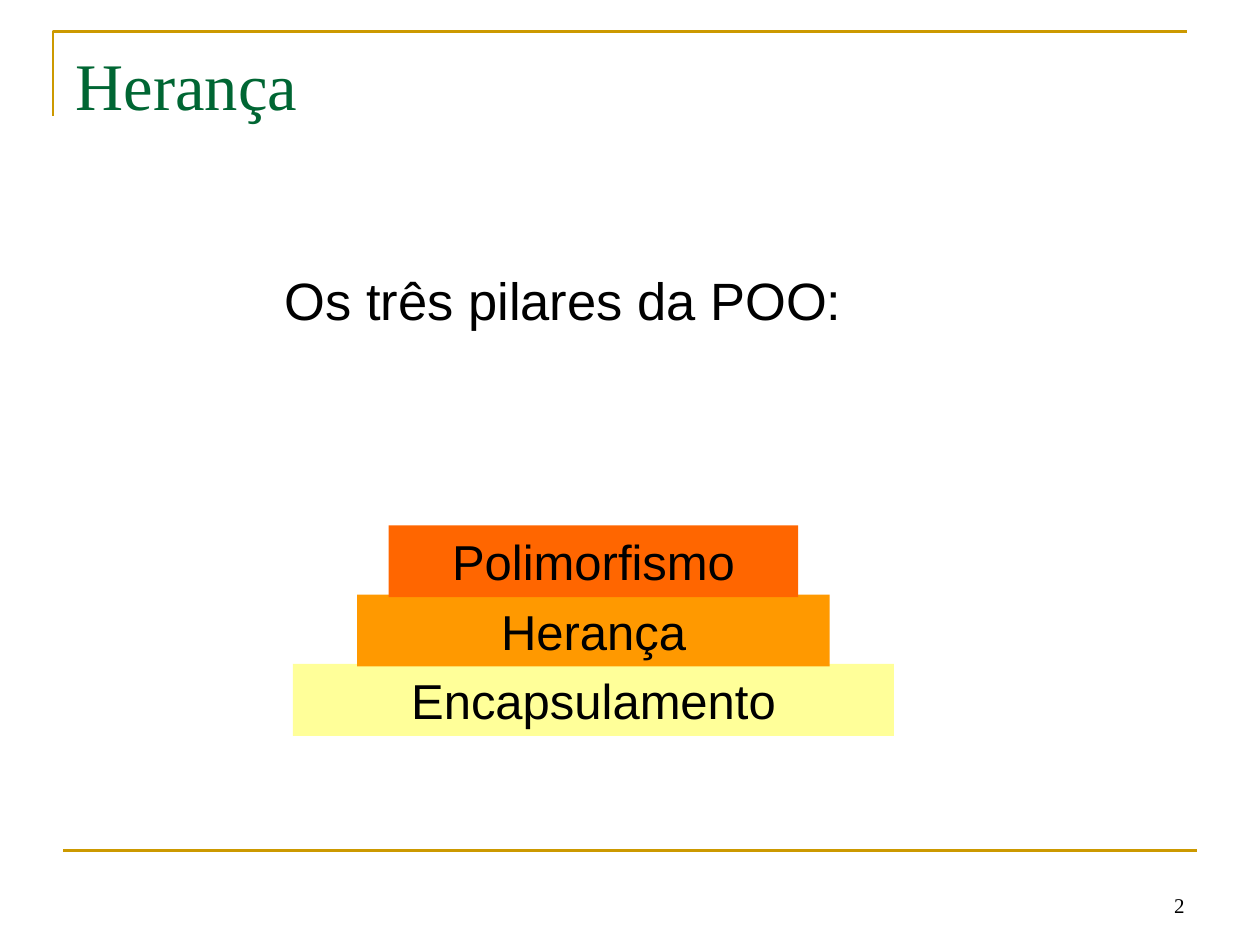
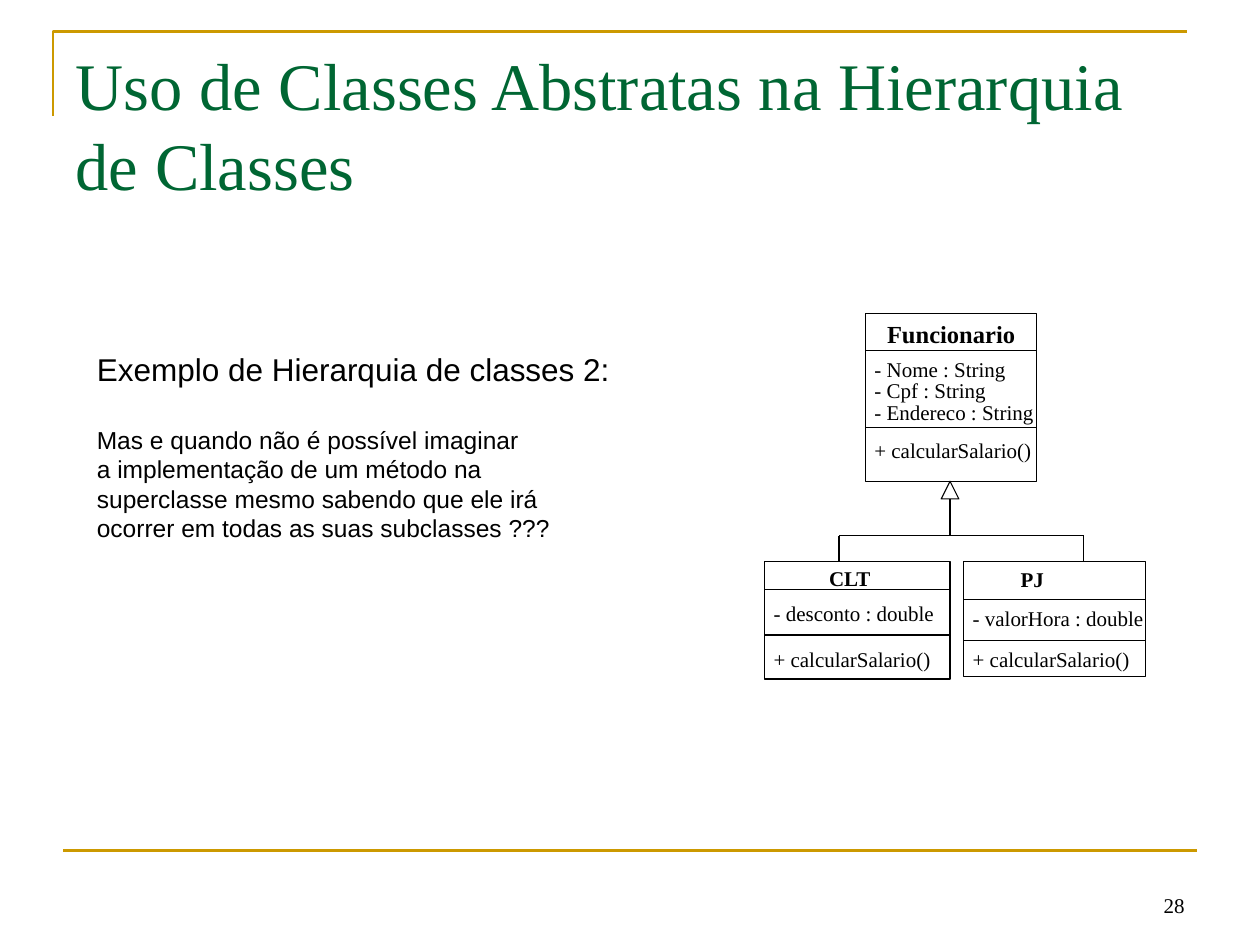
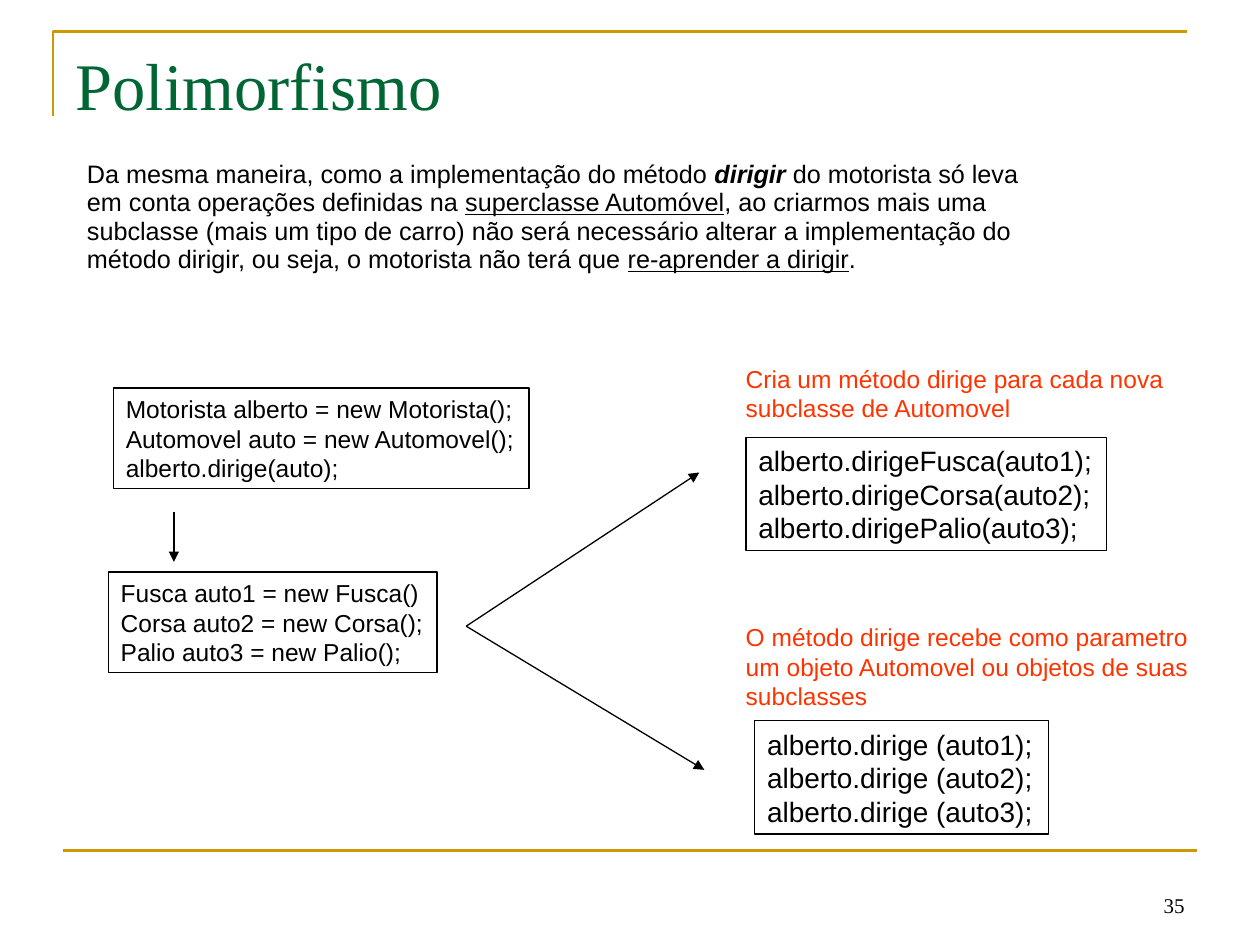
from dataclasses import dataclass
from pptx import Presentation
from pptx.dml.color import RGBColor
from pptx.enum.shapes import MSO_CONNECTOR as Connector, MSO_SHAPE as Preset
from pptx.enum.text import MSO_ANCHOR as Anchor, MSO_AUTO_SIZE as AutoSize, PP_ALIGN as Align
from pptx.oxml.ns import qn
from pptx.util import Inches, Pt
from lxml.etree import SubElement


@dataclass(frozen=True)
class Theme:
    serif: str = "Times New Roman"
    sans: str = "Arial"
    ink: str = "000000"
    paper: str = "FFFFFF"
    green: str = "006633"
    gold: str = "CC9900"
    red: str = "FF3300"
    title: float = 38
    lead: float = 30
    pillar: float = 28
    heading: float = 18
    large_code: float = 16
    text: float = 14
    body: float = 14.4
    small: float = 12
    frame_line: float = 1.5
    line: float = 0.75
    class_line: float = 0.62


THEME = Theme()
WIDTH, HEIGHT = 10, 7.5
INSETS = (0.1, 0.05)

PILLARS = [
    ("Encapsulamento", 4.77, "FFFF99"),
    ("Herança", 3.75, "FF9900"),
    ("Polimorfismo", 3.25, "FF6600"),
]
PILLAR_CENTER, PILLAR_BASE, PILLAR_STEP, PILLAR_HEIGHT = 4.71, 5.27, 0.55, 0.57

EXAMPLE_HEADING = "Exemplo de Hierarquia de classes 2:"
EXAMPLE_QUESTION = [
    "Mas e quando não é possível imaginar",
    "a implementação de um método na",
    "superclasse mesmo sabendo que ele irá",
    "ocorrer em todas as suas subclasses ???",
]

CLASSES = [
    dict(box=(6.87, 2.49, 1.36, 1.33), dividers=(0.29, 0.9),
         name=("Funcionario", 0.17, 0.04, 1.02, THEME.text),
         members=[("- Nome : String", 0.34, 1.04), ("- Cpf : String", 0.51, 0.89),
                  ("- Endereco : String", 0.68, 1.26), ("+ calcularSalario()", 0.98, 1.25)]),
    dict(box=(6.07, 4.46, 1.47, 0.93), dividers=(0.22, 0.58),
         name=("CLT", 0.51, 0.03, 0.34, THEME.small),
         members=[("- desconto : double", 0.31, 1.27), ("+ calcularSalario()", 0.67, 1.25)]),
    dict(box=(7.65, 4.46, 1.44, 0.91), dividers=(0.3, 0.62),
         name=("PJ", 0.45, 0.04, 0.19, THEME.small),
         members=[("- valorHora : double", 0.35, 1.36), ("+ calcularSalario()", 0.67, 1.25)]),
]
MEMBER_INDENT, LABEL_SLACK = 0.07, 0.05
PARENT_X, PARENT_BOTTOM, ARROW, BRANCH_Y, CHILD_TOP = 7.54, 3.82, 0.14, 4.25, 4.46
CHILDREN_X = (6.66, 8.6)

DRIVING = [
    [("Da mesma maneira, como a implementação do método ", ""), ("dirigir", "bi"),
     (" do motorista só leva", "")],
    [("em conta operações definidas na ", ""), ("superclasse Automóvel", "u"),
     (", ao criarmos mais uma", "")],
    [("subclasse (mais um tipo de carro) não será necessário alterar a implementação do", "")],
    [("método dirigir, ou seja, o motorista não terá que ", ""),
     ("re-aprender a dirigir", "u"), (".", "")],
]
CODE = [
    ((0.9, 3.08, 3.3, 0.8), THEME.text,
     ["Motorista alberto = new Motorista();", "Automovel auto = new Automovel();",
      "alberto.dirige(auto);"]),
    ((0.86, 4.54, 2.61, 0.8), THEME.text,
     ["Fusca auto1 = new Fusca()", "Corsa auto2 = new Corsa();", "Palio auto3 = new Palio();"]),
    ((5.92, 3.47, 2.86, 0.9), THEME.large_code,
     ["alberto.dirigeFusca(auto1);", "alberto.dirigeCorsa(auto2);",
      "alberto.dirigePalio(auto3);"]),
    ((5.99, 5.72, 2.33, 0.9), THEME.large_code,
     ["alberto.dirige (auto1);", "alberto.dirige (auto2);", "alberto.dirige (auto3);"]),
]
REMARKS = [
    ((5.82, 2.84, 3.59, 0.57),
     ["Cria um método dirige para cada nova", "subclasse de Automovel"]),
    ((5.82, 4.89, 3.79, 0.8),
     ["O método dirige recebe como parametro", "um objeto Automovel ou objetos de suas",
      "subclasses"]),
]
FORK = (3.7, 4.97)
ARROWS = [((1.38, 4.06), (1.38, 4.46)), (FORK, (5.55, 3.75)), (FORK, (5.59, 6.11))]


def color(value):
    return RGBColor.from_string(value)


def inches(*values):
    return [Inches(value) for value in values]


def style(font, size, ink=THEME.ink, face=THEME.sans, bold=False):
    font.name, font.size, font.bold = face, Pt(size), bold
    font.color.rgb = color(ink)


def write(frame, lines, size, ink=THEME.ink, face=THEME.sans, bold=False,
          align=Align.LEFT, wrap=False, insets=INSETS):
    frame.text = "\n".join(lines)
    frame.margin_left = frame.margin_right = Inches(insets[0])
    frame.margin_top = frame.margin_bottom = Inches(insets[1])
    frame.word_wrap = wrap
    frame.auto_size = AutoSize.SHAPE_TO_FIT_TEXT
    for paragraph in frame.paragraphs:
        paragraph.alignment = align
        for run in paragraph.runs:
            style(run.font, size, ink, face, bold)


def add_text(slide, box, lines, size, **look):
    frame = slide.shapes.add_textbox(*inches(*box)).text_frame
    write(frame, lines, size, **look)
    return frame


def add_box(slide, box, fill=None, weight=None):
    shape = slide.shapes.add_shape(Preset.RECTANGLE, *inches(*box))
    paint(shape, fill, weight)
    return shape


def paint(shape, fill, weight, ink=THEME.ink):
    shape.shadow.inherit = False
    if fill:
        shape.fill.solid()
        shape.fill.fore_color.rgb = color(fill)
    else:
        shape.fill.background()
    if weight:
        shape.line.color.rgb = color(ink)
        shape.line.width = Pt(weight)
    else:
        shape.line.fill.background()


def add_outline(slide, points, closed, weight, ink=THEME.ink):
    start, *rest = [inches(*point) for point in points]
    builder = slide.shapes.build_freeform(*start)
    builder.add_line_segments(rest, close=closed)
    shape = builder.convert_to_shape()
    paint(shape, None, weight, ink)
    return shape


def add_line(slide, start, end, weight=THEME.line, ink=THEME.ink, arrow=False):
    line = slide.shapes.add_connector(Connector.STRAIGHT, *inches(*start, *end))
    line.line.color.rgb = color(ink)
    line.line.width = Pt(weight)
    properties = line.element.spPr
    if arrow:
        SubElement(properties.find(qn("a:ln")), qn("a:tailEnd"), type="triangle")
    SubElement(properties, qn("a:effectLst"))
    return line


def place(placeholder, box):
    placeholder.left, placeholder.top, placeholder.width, placeholder.height = inches(*box)
    frame = placeholder.text_frame
    frame.vertical_anchor = Anchor.TOP
    frame.auto_size = AutoSize.NONE
    return frame


def add_frame(layout, slide):
    corner = add_outline(slide, [(0.42, 0.92), (0.42, 0.25), (9.42, 0.25)], False,
                         THEME.frame_line, THEME.gold)
    rule = add_line(slide, (0.5, 6.75), (9.5, 6.75), THEME.frame_line, THEME.gold)
    for part in (corner, rule):
        layout.element.cSld.spTree.append(part.element)


def start_slide(deck, title, number, title_height=1.25):
    slide = deck.slides.add_slide(deck.slide_layouts[1])
    heading = slide.shapes.title
    write(heading.text_frame, [title], THEME.title, THEME.green, THEME.serif, wrap=True)
    place(heading, (0.5, 0.3, 9, title_height))
    footer = add_text(slide, (7.17, 6.83, 2.33, 0.5), [str(number)], THEME.small,
                      face=THEME.serif, align=Align.RIGHT, wrap=True)
    footer.auto_size = AutoSize.NONE
    footer.vertical_anchor = Anchor.BOTTOM
    return slide


def fill_body(slide, box, lines, size, spacing=1.0, before=0):
    frame = place(slide.placeholders[1], box)
    for index, pieces in enumerate(lines):
        paragraph = frame.add_paragraph() if index else frame.paragraphs[0]
        properties = paragraph._p.get_or_add_pPr()
        properties.set("marL", str(Inches(0.38)))
        properties.set("indent", str(-Inches(0.38)))
        SubElement(properties, qn("a:buNone"))
        paragraph.line_spacing = spacing
        paragraph.space_before = Pt(before if index else 0)
        for text, marks in pieces:
            run = paragraph.add_run()
            run.text = text
            style(run.font, size, bold="b" in marks)
            run.font.italic = "i" in marks
            run.font.underline = "u" in marks


def add_class(slide, box, dividers, name, members):
    left, top, width, _ = box
    add_box(slide, box, THEME.paper, THEME.class_line)
    for offset in dividers:
        add_line(slide, (left, top + offset), (left + width, top + offset), THEME.class_line)
    label, indent, drop, label_width, size = name
    add_text(slide, (left + indent, top + drop, label_width + LABEL_SLACK, size / 60),
             [label], size, face=THEME.serif, bold=True, insets=(0, 0))
    for member, drop, member_width in members:
        add_text(slide, (left + MEMBER_INDENT, top + drop, member_width + LABEL_SLACK, 0.2),
                 [member], THEME.small, face=THEME.serif, insets=(0, 0))


def build_pillars(deck):
    slide = start_slide(deck, "Herança", 2)
    add_frame(deck.slide_layouts[1], slide)
    fill_body(slide, (2.16, 2.08, 5.08, 0.88), [[("Os três pilares da POO:", "")]], THEME.lead)
    for level, (pillar, width, fill) in enumerate(PILLARS):
        box = (PILLAR_CENTER - width / 2, PILLAR_BASE - level * PILLAR_STEP,
               width, PILLAR_HEIGHT)
        write(add_box(slide, box, fill).text_frame, [pillar], THEME.pillar,
              align=Align.CENTER, wrap=True)


def build_hierarchy(deck):
    slide = start_slide(deck, "Uso de Classes Abstratas na Hierarquia de Classes", 28)
    body = slide.placeholders[1].element
    body.getparent().remove(body)
    example = add_text(slide, (0.67, 2.73, 4.29, 1.87),
                       [EXAMPLE_HEADING, *EXAMPLE_QUESTION], THEME.text)
    heading, question = example.paragraphs[:2]
    style(heading.runs[0].font, THEME.heading)
    question.space_before = Pt(21)
    for parts in CLASSES:
        add_class(slide, **parts)
    arrow_base = PARENT_BOTTOM + ARROW
    add_outline(slide, [(PARENT_X, PARENT_BOTTOM), (PARENT_X + ARROW / 2, arrow_base),
                        (PARENT_X - ARROW / 2, arrow_base)], True, THEME.class_line)
    add_line(slide, (PARENT_X, arrow_base), (PARENT_X, BRANCH_Y))
    add_line(slide, (CHILDREN_X[0], BRANCH_Y), (CHILDREN_X[1], BRANCH_Y))
    for child_x in CHILDREN_X:
        add_line(slide, (child_x, BRANCH_Y), (child_x, CHILD_TOP))


def build_polymorphism(deck):
    slide = start_slide(deck, "Polimorfismo", 35, 0.74)
    fill_body(slide, (0.59, 1.27, 9, 1.42), DRIVING, THEME.body, 0.7, 4.2)
    for box, size, lines in CODE:
        write(add_box(slide, box, weight=THEME.line).text_frame, lines, size)
    for box, lines in REMARKS:
        add_text(slide, box, lines, THEME.text, ink=THEME.red)
    for start, end in ARROWS:
        add_line(slide, start, end, arrow=True)


def main():
    deck = Presentation()
    deck.slide_width, deck.slide_height = inches(WIDTH, HEIGHT)
    build_pillars(deck)
    build_hierarchy(deck)
    build_polymorphism(deck)
    deck.save("out.pptx")


if __name__ == "__main__":
    main()
